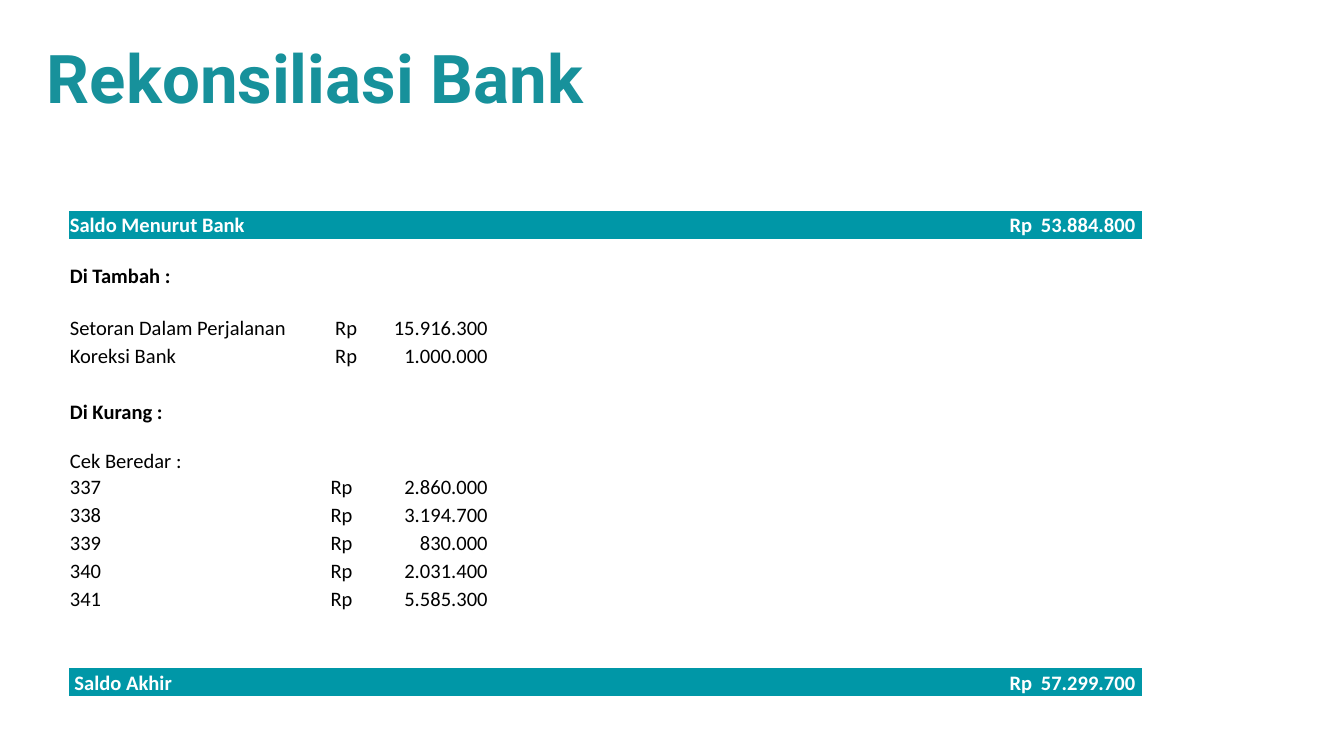
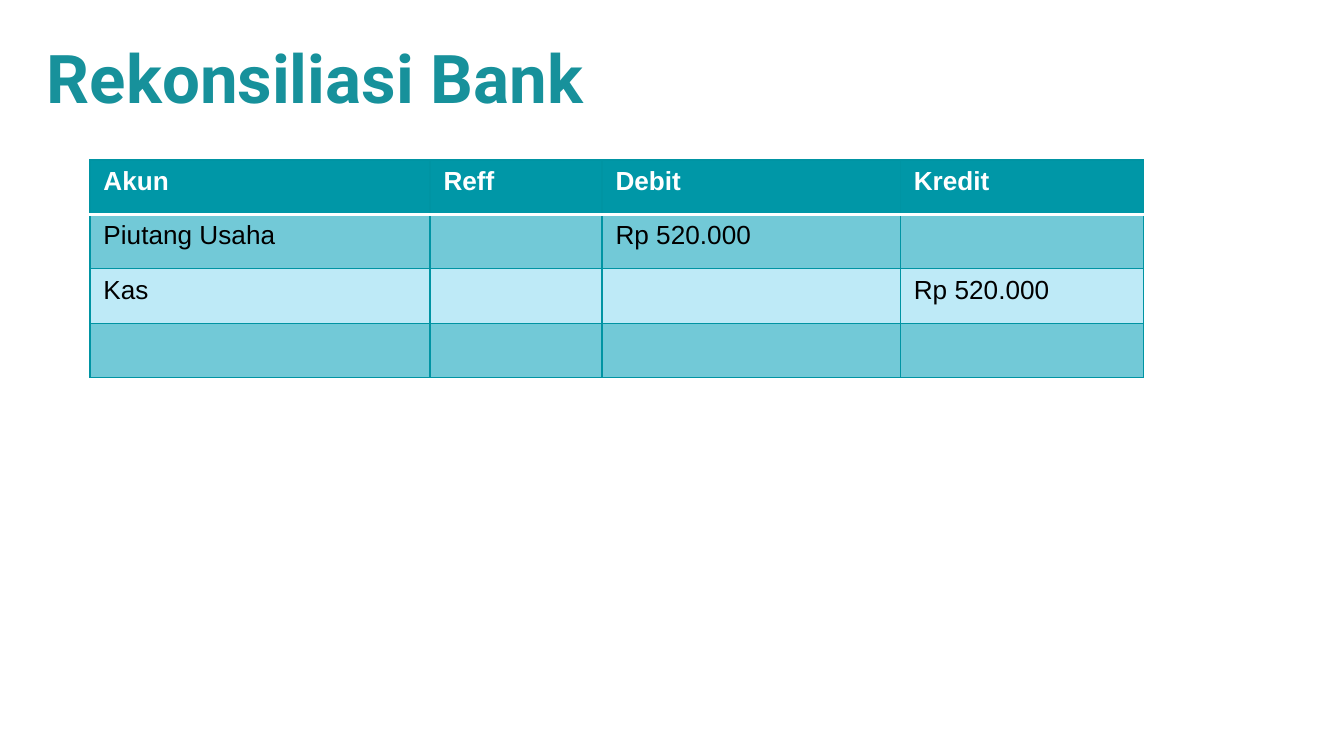
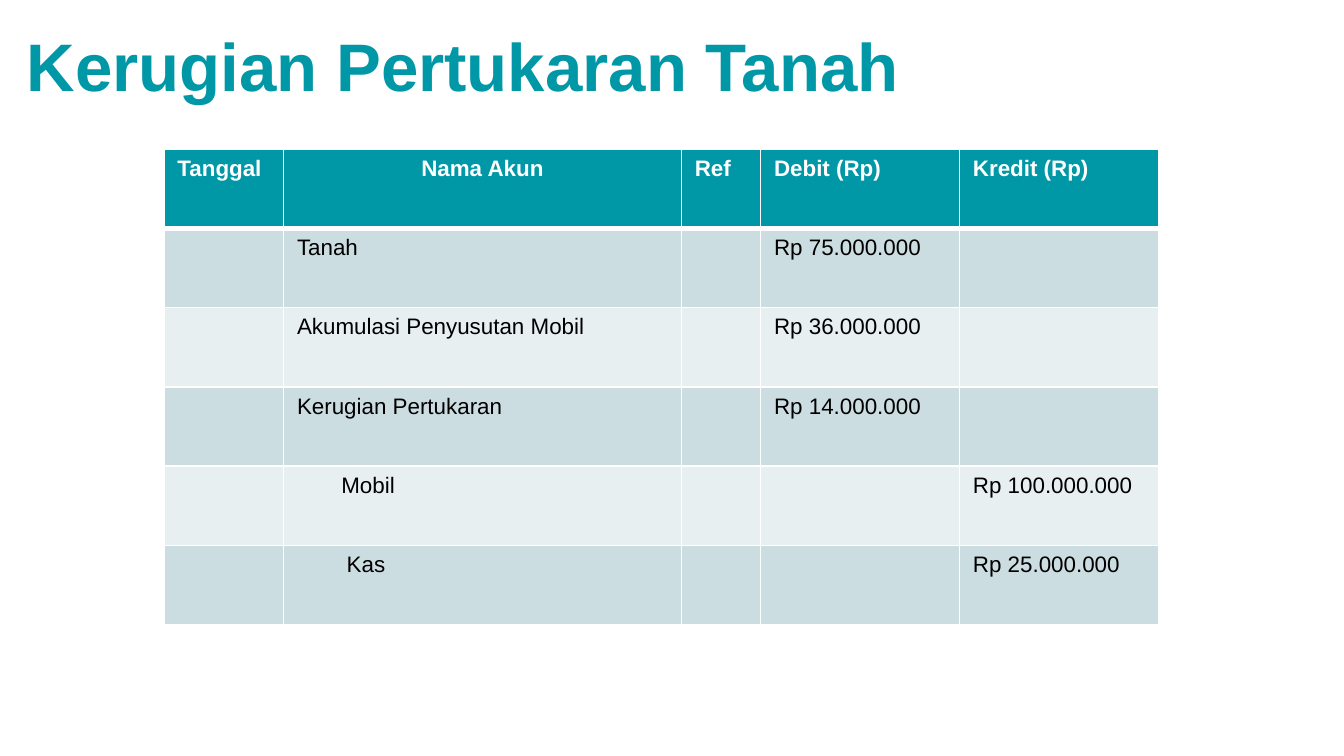
"""Build three slides on bank reconciliation and a land exchange loss."""
from lxml import etree
from pptx import Presentation
from pptx.dml.color import RGBColor
from pptx.enum.text import MSO_ANCHOR, MSO_AUTO_SIZE, PP_ALIGN
from pptx.oxml.ns import qn
from pptx.util import Inches, Pt

BOTTOM, TOP = MSO_ANCHOR.BOTTOM, MSO_ANCHOR.TOP
CENTER = PP_ALIGN.CENTER
GROW = MSO_AUTO_SIZE.SHAPE_TO_FIT_TEXT
NO_STYLE = "{2D5ABB26-0587-4C30-8999-92F81FD0307C}"
COLORS = {
    "title": "17919B", "teal": "0097A7", "edge": "0094A3",
    "white": "FFFFFF", "black": "000000",
    "aqua": "72C9D7", "sky": "BEEAF7",
    "gray": "CCDDE1", "pale": "E7EFF1",
}


class Deck:
    """Holds the shared style and the current slide."""

    def __init__(self):
        self.prs = Presentation()
        self.prs.slide_width = Inches(10)
        self.prs.slide_height = Inches(10 * 9 / 16)
        self.slide = None

    def add(self):
        self.slide = self.prs.slides.add_slide(self.prs.slide_layouts[6])

    def font(self, run, size, face, color, bold=False):
        run.font.size = Pt(size)
        run.font.name = face
        run.font.bold = bold
        run.font.color.rgb = RGBColor.from_string(COLORS[color])

    def title(self, text, box, face="Roboto", color="title", pad=(0.01, 0.01, 0, 0), wrap=True):
        frame = self.slide.shapes.add_textbox(*map(Inches, box)).text_frame
        frame.word_wrap = wrap
        frame.auto_size = GROW
        (frame.margin_left, frame.margin_top,
         frame.margin_right, frame.margin_bottom) = map(Inches, pad)
        frame.text = text
        self.font(frame.paragraphs[0].runs[0], 36, face, color, True)

    def table(self, spot, cols, rows):
        size = sum(cols), sum(rows)
        shape = self.slide.shapes.add_table(len(rows), len(cols), *map(Inches, spot + size))
        table = shape.table
        table.first_row = table.horz_banding = False
        table._tbl.tblPr.find(qn("a:tableStyleId")).text = NO_STYLE
        for col, width in zip(table.columns, cols):
            col.width = Inches(width)
        for row, height in zip(table.rows, rows):
            row.height = Inches(height)
        return table

    def cell(self, cell, text, size, face, color, bold=False, fill=None,
             pad=(0.1, 0.05, 0.1, 0.05), anchor=TOP, tab=None):
        (cell.margin_left, cell.margin_top,
         cell.margin_right, cell.margin_bottom) = map(Inches, pad)
        cell.vertical_anchor = anchor
        if fill:
            cell.fill.solid()
            cell.fill.fore_color.rgb = RGBColor.from_string(COLORS[fill])
        cell.text_frame.text = text
        for para in cell.text_frame.paragraphs:
            if "\t" in para.text:
                stops = etree.SubElement(para._p.get_or_add_pPr(), qn("a:tabLst"))
                etree.SubElement(stops, qn("a:tab"), pos=str(Inches(tab)), algn="r")
            for run in para.runs:
                self.font(run, size, face, color, bold)
            if not para.runs:
                etree.SubElement(para._p, qn("a:endParaRPr"), sz=str(size * 100))

    def edges(self, cell, sides):
        props = cell._tc.get_or_add_tcPr()
        for spot, side in enumerate("LRTB"):
            color, width = sides[side]
            line = etree.Element(qn(f"a:ln{side}"), w=str(Pt(width)))
            fill = etree.SubElement(line, qn("a:solidFill"))
            etree.SubElement(fill, qn("a:srgbClr"), val=COLORS[color])
            props.insert(spot, line)

    def journal(self, spot, cols, height, data, size, bands, line, rule):
        table = self.table(spot, cols, [height] * len(data))
        for r, texts in enumerate(data):
            head = r == 0
            fill = "teal" if head else bands[(r - 1) % 2]
            for c, text in enumerate(texts):
                cell = table.cell(r, c)
                self.cell(cell, text, size, "Arial", "white" if head else "black", head, fill)
                sides = dict.fromkeys("LRTB", line)
                if r < 2:
                    sides["B" if head else "T"] = ("white", rule)
                self.edges(cell, sides)
        return table

    def ledger(self, spot, cols, rows, data, bands, heads):
        table = self.table(spot, cols, rows)
        last = len(cols) - 1
        for r in range(len(rows)):
            band = r in bands
            for c in range(len(cols)):
                self.cell(table.cell(r, c), data.get((r, c), ""), 11, "Calibri",
                          "white" if band else "black", band or r in heads,
                          "teal" if band else None, (0.01, 0.01, 0.01, 0),
                          BOTTOM, 0.97 if c == last else 1.17)


def main():
    deck = Deck()
    name, box = "Rekonsiliasi Bank", (0.34, 0.26, 9.33, 0.62)

    deck.add()
    deck.title(name, box)
    rows = [2.71 / 13] * 16
    rows[3] = rows[4] = 0.38
    rows[8] = 0.56
    data = {
        (2, 0): "Saldo Menurut Bank", (2, 7): " Rp\t53.884.800",
        (3, 0): "Di Tambah :",
        (4, 0): "Setoran Dalam Perjalanan", (4, 1): " Rp\t15.916.300",
        (5, 0): "Koreksi Bank", (5, 1): " Rp\t1.000.000",
        (7, 0): "Di Kurang :",
        (8, 0): "Cek Beredar :\n337",
        (15, 0): " Saldo Akhir", (15, 7): " Rp\t57.299.700",
    }
    sums = ["2.860.000", "3.194.700", "830.000", "2.031.400", "5.585.300"]
    for i, value in enumerate(sums):
        data.setdefault((8 + i, 0), str(337 + i))
        data[8 + i, 1] = f"Rp\t{value}"
    deck.ledger((0.51, 1.15), (1.94, 1.21, 1.03, 0.67, 0.67, 0.67, 0.77, 1.03),
                rows, data, (2, 15), (3, 7))

    deck.add()
    deck.journal((0.67, 1.19), (2.53, 1.28, 2.22, 1.81), 1.62 / 4, [
        ("Akun", "Reff", "Debit", "Kredit"),
        ("Piutang Usaha", "", "Rp 520.000", ""),
        ("Kas", "", "", "Rp 520.000"),
        ("", "", "", ""),
    ], 14, ("aqua", "sky"), ("edge", 0.75), 2)
    deck.title(name, box)

    deck.add()
    table = deck.journal((1.22, 1.11), (0.89, 2.96, 0.59, 1.48, 1.48), 0.59, [
        ("Tanggal", "Nama Akun", "Ref", "Debit (Rp)", "Kredit (Rp)"),
        ("", "Tanah", "", "Rp 75.000.000", ""),
        ("", "Akumulasi Penyusutan Mobil", "", "Rp 36.000.000", ""),
        ("", "Kerugian Pertukaran", "", "Rp 14.000.000", ""),
        ("", "Mobil", "", "", "Rp 100.000.000"),
        ("", "Kas", "", "", "Rp 25.000.000"),
    ], 12, ("gray", "pale"), ("white", 1), 3)
    table.cell(0, 1).text_frame.paragraphs[0].alignment = CENTER
    for r, left in ((4, 0.43), (5, 0.47)):
        table.cell(r, 1).margin_left = Inches(left)
    deck.title("Kerugian Pertukaran Tanah", (0.1, 0.13, 6.79, 0.71), "Arial", "teal",
               (0.1, 0.05, 0.1, 0.05), False)

    deck.prs.save("out.pptx")


if __name__ == "__main__":
    main()
